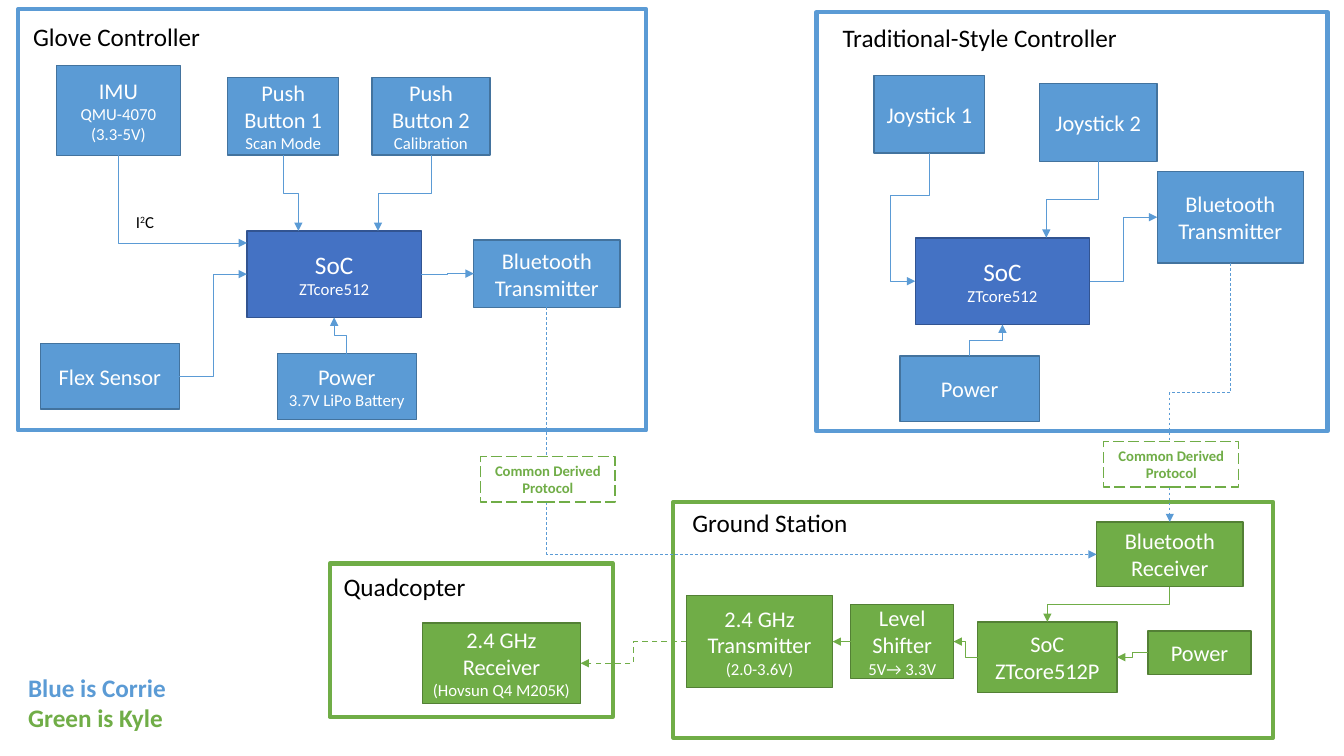
from lxml import etree
from pptx import Presentation, util as u
from pptx.dml import color as dml_color
from pptx.enum import dml, shapes, text
from pptx.oxml import ns

CELL = u.Inches(0.1)
COLUMNS, ROWS = 133.33, 75
COLORS = {
    "blue": "5B9BD5", "blue edge": "43739E",
    "indigo": "4472C4", "indigo edge": "325491",
    "green": "70AD47", "green edge": "538035",
    "white": "FFFFFF", "black": "000000",
}
TOP, LEFT, BOTTOM, RIGHT = range(4)

PANELS = [
    ("blue", (1.8, 0.9, 62.3, 41.8), "Glove Controller", (2.3, 1.6, 18.8, 4)),
    ("blue", (81, 1.2, 50.7, 41.6), "Traditional-Style Controller", (82.6, 1.7, 29.5, 4)),
    ("green", (66.8, 49.8, 59.5, 23.4), "Ground Station", (67.7, 49.8, 17.6, 4)),
    ("green", (32.7, 55.9, 28.1, 15.2), "Quadcopter", (33.1, 56.2, 14.2, 4)),
]

BOXES = {
    "glove soc": ("indigo", (24.5, 22.9, 17.3, 8.6), [("SoC", 18), ("ZTcore512", 12)]),
    "button 1": ("blue", (22.6, 7.7, 11, 7.7), [("Push Button 1", 16), ("Scan Mode", 12)]),
    "button 2": ("blue", (36.9, 7.7, 11.7, 7.7), [("Push Button 2", 16), ("Calibration", 12)]),
    "flex": ("blue", (4, 34.1, 13.8, 6.5), [("Flex Sensor", 16)]),
    "imu": ("blue", (5.6, 6.5, 12.3, 8.9), [("IMU", 16), ("QMU-4070", 12), ("(3.3-5V)", 12)]),
    "glove radio": ("blue", (47, 23.8, 14.5, 6.7), [("Bluetooth", 16), ("Transmitter", 16)]),
    "glove power": ("blue", (27.5, 35.1, 13.8, 6.5), [("Power", 16), ("3.7V LiPo Battery", 12)]),
    "stick soc": ("indigo", (90.8, 23.6, 17.3, 8.6), [("SoC", 18), ("ZTcore512", 12)]),
    "joystick 1": ("blue", (86.7, 7.5, 11, 7.7), [("Joystick 1", 16)]),
    "joystick 2": ("blue", (103.1, 8.3, 11.7, 7.7), [("Joystick 2", 16)]),
    "stick radio": ("blue", (114.8, 17, 14.5, 9.1), [("Bluetooth", 16), ("Transmitter", 16)]),
    "stick power": ("blue", (89.3, 35.3, 13.8, 6.5), [("Power", 16)]),
    "receiver": ("green", (108.8, 51.8, 14.5, 6.4), [("Bluetooth", 16), ("Receiver", 16)]),
    "ground power": ("green", (113.9, 62.6, 10.2, 4.3), [("Power", 16)]),
    "ground soc": ("green", (97, 61.7, 13.8, 7), [("SoC", 16), ("ZTcore512P", 16)]),
    "shifter": ("green", (84.4, 60, 10.2, 7.3), [("Level Shifter", 16), ("5V→ 3.3V", 12)]),
    "ground radio": ("green", (68.1, 59.1, 14.5, 9.1), [("2.4 GHz Transmitter", 16), ("(2.0-3.6V)", 12)]),
    "copter radio": ("green", (41.9, 61.8, 15.7, 8), [("2.4 GHz Receiver", 16), ("(Hovsun Q4 M205K)", 12)]),
}

CORNER = {"preset": "bentConnector2"}
DASHED = {"dash": dml.MSO_LINE.DASH}
ARROWS = [
    ("imu", BOTTOM, (24.5, 24.1), None, "blue", CORNER),
    ("button 1", BOTTOM, (29.6, 22.9), None, "blue", {}),
    ("button 2", BOTTOM, (37.5, 22.9), None, "blue", {}),
    ("flex", RIGHT, "glove soc", LEFT, "blue", {}),
    ("glove power", TOP, "glove soc", BOTTOM, "blue", {}),
    ("glove soc", RIGHT, "glove radio", LEFT, "blue", {}),
    ("glove radio", BOTTOM, "receiver", LEFT, "blue", CORNER | DASHED),
    ("joystick 1", BOTTOM, "stick soc", LEFT, "blue",
     {"preset": "bentConnector4", "bends": (33100, 274800)}),
    ("joystick 2", BOTTOM, (103.8, 23.6), None, "blue", {}),
    ("stick soc", RIGHT, "stick radio", LEFT, "blue", {}),
    ("stick power", TOP, "stick soc", BOTTOM, "blue", {}),
    ("stick radio", BOTTOM, "receiver", TOP, "blue", DASHED),
    ("receiver", BOTTOM, "ground soc", TOP, "green", {}),
    ("ground power", LEFT, "ground soc", RIGHT, "green", {}),
    ("ground soc", LEFT, "shifter", RIGHT, "green", {}),
    ("shifter", LEFT, "ground radio", RIGHT, "green", {}),
    ("ground radio", LEFT, "copter radio", RIGHT, "green", DASHED | {"width": 1}),
]
PROTOCOLS = [(47.7, 45.3, 13.3, 4.5), (109.5, 43.8, 13.4, 4.5)]


def rgb(name):
    return dml_color.RGBColor.from_string(COLORS[name])


def apply(target, values):
    for name, value in values.items():
        setattr(target, name, value)


class Diagram:
    """Draws boxes, labels and arrows on one slide, measured in grid cells."""

    font = {"name": "Calibri"}

    def __init__(self, slide):
        self.slide = slide

    def place(self, at):
        return [round(cells * CELL) for cells in at]

    def add_words(self, paragraph, content, size, color, bold=False):
        run = paragraph.add_run()
        run.text = content
        apply(run.font, self.font | {"size": u.Pt(size), "bold": bold})
        run.font.color.rgb = rgb(color)
        return run

    def rectangle(self, at, fill, edge, width, dash=None):
        shape = self.slide.shapes.add_shape(shapes.MSO_SHAPE.RECTANGLE, *self.place(at))
        shape.shadow.inherit = False
        if fill:
            shape.fill.solid()
            shape.fill.fore_color.rgb = rgb(fill)
        else:
            shape.fill.background()
        shape.line.color.rgb = rgb(edge)
        apply(shape.line, {"width": u.Pt(width), "dash_style": dash})
        return shape

    def fill_text(self, shape, lines, color, bold=False, anchor=text.MSO_ANCHOR.MIDDLE):
        frame = shape.text_frame
        apply(frame, {"word_wrap": True, "vertical_anchor": anchor})
        for index, (content, size) in enumerate(lines):
            paragraph = frame.add_paragraph() if index else frame.paragraphs[0]
            paragraph.alignment = text.PP_ALIGN.CENTER
            self.add_words(paragraph, content, size, color, bold)

    def box(self, color, at, lines):
        shape = self.rectangle(at, color, f"{color} edge", 1)
        self.fill_text(shape, lines, "white")
        return shape

    def protocol(self, at):
        shape = self.rectangle(at, "white", "green", 1, dml.MSO_LINE.LONG_DASH)
        self.fill_text(shape, [("Common Derived Protocol", 10.5)], "green", True, text.MSO_ANCHOR.TOP)

    def label(self, at, lines, size, bold=False):
        frame = self.slide.shapes.add_textbox(*self.place(at)).text_frame
        apply(frame, {"word_wrap": False, "auto_size": text.MSO_AUTO_SIZE.SHAPE_TO_FIT_TEXT})
        for index, (runs, color) in enumerate(lines):
            paragraph = frame.add_paragraph() if index else frame.paragraphs[0]
            for content, baseline in runs:
                run = self.add_words(paragraph, content, size, color, bold)
                if baseline:
                    run.font._element.set("baseline", str(baseline))

    def arrow(self, start, start_site, end, end_site, color,
              preset="bentConnector3", bends=(), dash=None, width=0.5):
        connector = self.slide.shapes.add_connector(shapes.MSO_CONNECTOR.ELBOW, 0, 0, 0, 0)
        connector.begin_connect(start, start_site)
        if end_site is None:
            connector.end_x, connector.end_y = self.place(end)
        else:
            connector.end_connect(end, end_site)
        self.route(connector, start_site in (TOP, BOTTOM), preset, bends)
        connector.line.color.rgb = rgb(color)
        apply(connector.line, {"width": u.Pt(width), "dash_style": dash})
        properties = connector._element.spPr
        line = properties.find(ns.qn("a:ln"))
        etree.SubElement(line, ns.qn("a:tailEnd"), type="triangle")
        etree.SubElement(properties, ns.qn("a:effectLst"))

    def route(self, connector, vertical, preset, bends):
        x, y = connector.begin_x, connector.begin_y
        across, down = connector.end_x - x, connector.end_y - y
        width, height = abs(across), abs(down)
        if vertical:
            width, height = height, width
            rotation = 90 if across * down < 0 else 270
            flips = {"flipH": across > 0, "flipV": down < 0}
        else:
            rotation = 180 if across < 0 else 0
            flips = {"flipH": False, "flipV": across * down < 0}
        apply(connector, {
            "left": x + (across - width) // 2, "top": y + (down - height) // 2,
            "width": width, "height": height, "rotation": rotation,
        })
        properties = connector._element.spPr
        apply(properties.find(ns.qn("a:xfrm")), flips)
        geometry = properties.find(ns.qn("a:prstGeom"))
        geometry.set("prst", preset)
        guides = geometry.find(ns.qn("a:avLst"))
        for number, bend in enumerate(bends, 1):
            etree.SubElement(guides, ns.qn("a:gd"), name=f"adj{number}", fmla=f"val {bend}")


def main():
    presentation = Presentation()
    apply(presentation, {"slide_width": round(COLUMNS * CELL), "slide_height": ROWS * CELL})
    diagram = Diagram(presentation.slides.add_slide(presentation.slide_layouts[6]))
    for color, at, title, title_at in PANELS:
        diagram.rectangle(at, None, color, 3)
        diagram.label(title_at, [([(title, 0)], "black")], 18)
    boxes = {name: diagram.box(*values) for name, values in BOXES.items()}
    for start, start_site, end, end_site, color, options in ARROWS:
        target = end if end_site is None else boxes[end]
        diagram.arrow(boxes[start], start_site, target, end_site, color, **options)
    for at in PROTOCOLS:
        diagram.protocol(at)
    diagram.label((12.5, 20.5, 3.9, 3), [([("I", 0), ("2", 30000), ("C", 0)], "black")], 12)
    owners = [([("Blue is Corrie", 0)], "blue"), ([("Green is Kyle", 0)], "green")]
    diagram.label((1.8, 66.2, 15.8, 7.1), owners, 18, True)
    presentation.save("out.pptx")


if __name__ == "__main__":
    main()
